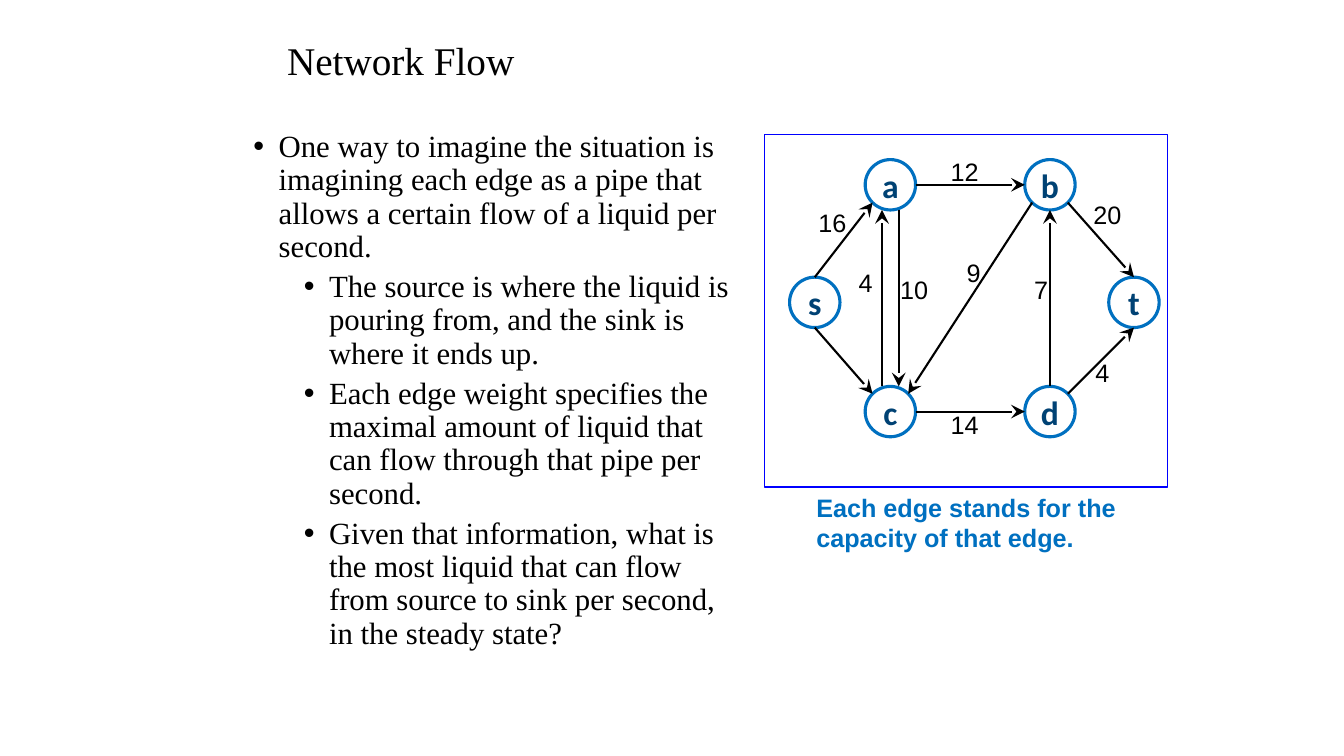
import pptx
import pptx.dml.color
import pptx.enum.shapes
import pptx.enum.text
import pptx.util
from lxml import etree
from pptx.oxml.ns import qn

Pt = pptx.util.Pt

TITLE = "Network Flow"
BULLETS = [  # level, text
    (0, "One way to imagine the situation is imagining each edge as a pipe that "
        "allows a certain flow of a liquid per second."),
    (1, "The source is where the liquid is pouring from, and the sink is where it ends up."),
    (1, "Each edge weight specifies the maximal amount of liquid that can flow "
        "through that pipe per second."),
    (1, "Given that information, what is the most liquid that can flow from source "
        "to sink per second, in the steady state?"),
]
CAPTION = ["Each edge stands for the", "capacity of that edge."]

RADIUS = 18
NODES = {  # centre of each circle
    "a": (636, 132), "s": (582, 216), "c": (636, 294),
    "b": (750, 132), "d": (750, 294), "t": (810, 216),
}
DIAGONAL = 12.73
LANE = 6  # half the gap between the two opposite edges of a and c
SITES = {  # offset from a circle's centre
    "N": (0, -RADIUS), "S": (0, RADIUS), "W": (-RADIUS, 0), "E": (RADIUS, 0),
    "NW": (-DIAGONAL, -DIAGONAL), "NE": (DIAGONAL, -DIAGONAL),
    "SW": (-DIAGONAL, DIAGONAL), "SE": (DIAGONAL, DIAGONAL),
    "N left": (-LANE, -RADIUS), "S left": (-LANE, RADIUS),
    "N right": (LANE, -RADIUS), "S right": (LANE, RADIUS),
}
EDGES = [  # from node, site, to node, site
    ("a", "E", "b", "W"), ("s", "N", "a", "SW"), ("s", "S", "c", "NW"),
    ("c", "E", "d", "W"), ("d", "NE", "t", "S"), ("b", "SE", "t", "N"),
    ("a", "S right", "c", "N right"), ("d", "N", "b", "S"),
    ("b", "SW", "c", "NE"), ("c", "N left", "a", "S left"),
]
CAPACITIES = [  # text, left, top
    ("12", 672, 108), ("16", 577.5, 144.7), ("9", 683.3, 180),
    ("4", 606.2, 187.2), ("10", 635.8, 192.2), ("14", 672, 288.7),
    ("7", 731.5, 192.2), ("20", 774, 139), ("4", 775.4, 252),
]


def color(hex_string):
    return pptx.dml.color.RGBColor.from_string(hex_string)


def set_font(paragraph, name, size, hex_string, bold=False):
    font = paragraph.font
    font.name, font.size, font.bold = name, Pt(size), bold
    font.color.rgb = color(hex_string)


def add_text(slide, box, lines, font, wrap=True):
    """Add a text box with one paragraph per line and return its text frame."""
    frame = slide.shapes.add_textbox(*map(Pt, box)).text_frame
    frame.word_wrap = wrap
    frame.text = "\n".join(lines)
    for paragraph in frame.paragraphs:
        set_font(paragraph, *font)
    return frame


def add_bullets(slide):
    frame = slide.shapes.add_textbox(Pt(174), Pt(90), Pt(366), Pt(408)).text_frame
    frame.word_wrap = True
    for index, (level, text) in enumerate(BULLETS):
        paragraph = frame.paragraphs[0] if index == 0 else frame.add_paragraph()
        paragraph.text = text
        paragraph.level = level
        paragraph.line_spacing = 0.9
        paragraph.space_before = Pt(5 if index else 0)
        properties = paragraph._p.get_or_add_pPr()
        properties.set("marL", str(Pt(18 + 36 * level)))
        properties.set("indent", str(Pt(-18)))
        etree.SubElement(properties, qn("a:buFont"), typeface="Arial")
        etree.SubElement(properties, qn("a:buChar"), char="•")
        set_font(paragraph, "Times New Roman", 22, "000000")


def add_outline(slide, kind, box, hex_string, width):
    shape = slide.shapes.add_shape(kind, *map(Pt, box))
    shape.shadow.inherit = False
    shape.fill.background()
    shape.line.color.rgb = color(hex_string)
    shape.line.width = Pt(width)
    return shape


def add_node(slide, name, center):
    x, y = center
    box = (x - RADIUS, y - RADIUS, 2 * RADIUS, 2 * RADIUS)
    shape = add_outline(slide, pptx.enum.shapes.MSO_SHAPE.OVAL, box, "0070C0", 2.25)
    frame = shape.text_frame
    frame.margin_left = frame.margin_right = frame.margin_top = frame.margin_bottom = 0
    frame.word_wrap = False
    frame.vertical_anchor = pptx.enum.text.MSO_ANCHOR.MIDDLE
    frame.text = name
    paragraph = frame.paragraphs[0]
    paragraph.alignment = pptx.enum.text.PP_ALIGN.CENTER
    set_font(paragraph, "Calibri", 24, "004274", True)


def site_point(node, site):
    return [Pt(center + offset) for center, offset in zip(NODES[node], SITES[site])]


def add_edge(slide, start, start_site, end, end_site):
    connector = slide.shapes.add_connector(
        pptx.enum.shapes.MSO_CONNECTOR.STRAIGHT,
        *site_point(start, start_site), *site_point(end, end_site))
    connector.line.color.rgb = color("000000")
    connector.line.width = Pt(1.5)
    etree.SubElement(connector.line._get_or_add_ln(), qn("a:tailEnd"),
                     type="stealth", w="lg", len="lg")
    etree.SubElement(connector._element.spPr, qn("a:effectLst"))


def main():
    presentation = pptx.Presentation()
    presentation.slide_width, presentation.slide_height = Pt(960), Pt(540)
    slide = presentation.slides.add_slide(presentation.slide_layouts[6])

    title = add_text(slide, (198, 0, 590.4, 90), [TITLE], ("Times New Roman", 28, "000000"))
    title.vertical_anchor = pptx.enum.text.MSO_ANCHOR.MIDDLE
    title.paragraphs[0].line_spacing = 0.9
    add_bullets(slide)

    for name, center in NODES.items():
        add_node(slide, name, center)
    for edge in EDGES:
        add_edge(slide, *edge)
    add_outline(slide, pptx.enum.shapes.MSO_SHAPE.RECTANGLE, (546, 96, 288, 252), "0000FF", 1)

    add_text(slide, (576, 348, 230.4, 51), CAPTION, ("Arial", 18, "0070C0", True), wrap=False)
    for text, left, top in CAPACITIES:
        width = 14.4 + 10 * len(text)
        add_text(slide, (left, top, width, 29), [text], ("Arial", 18, "000000"), wrap=False)

    presentation.save("out.pptx")


if __name__ == "__main__":
    main()
